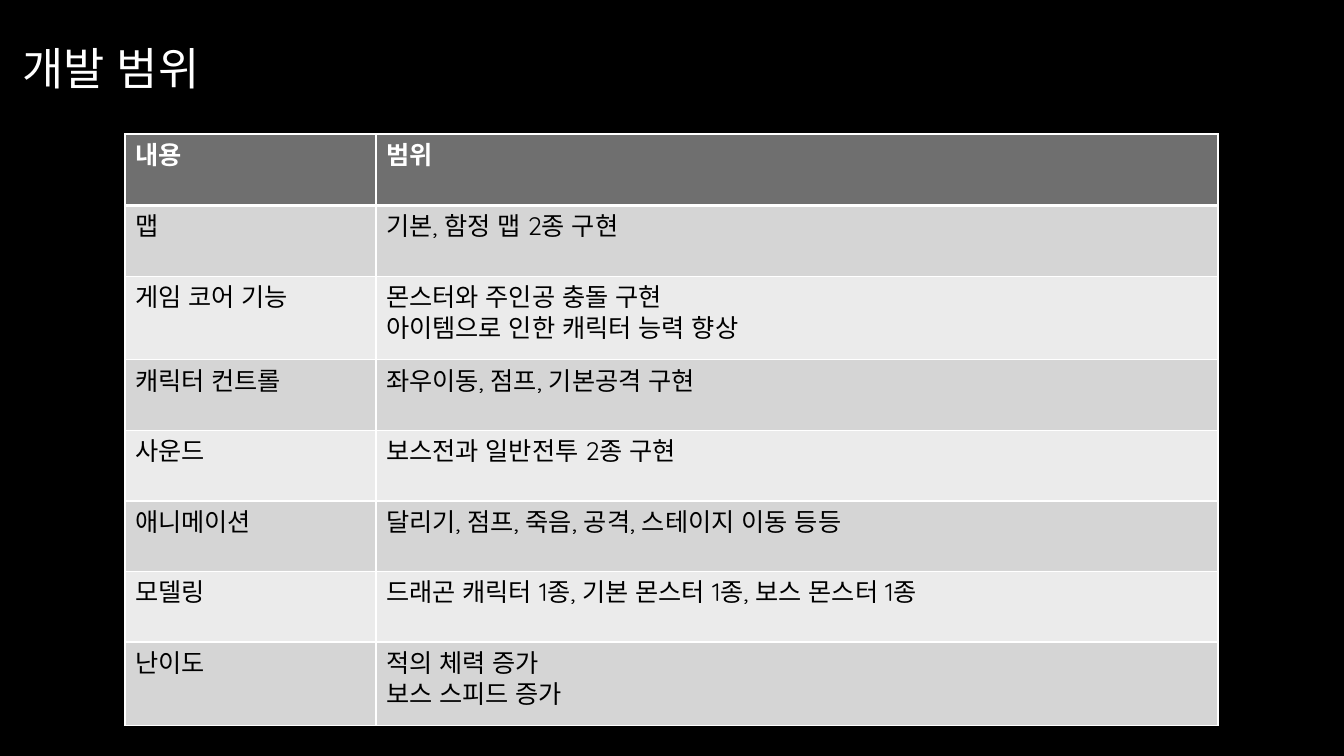
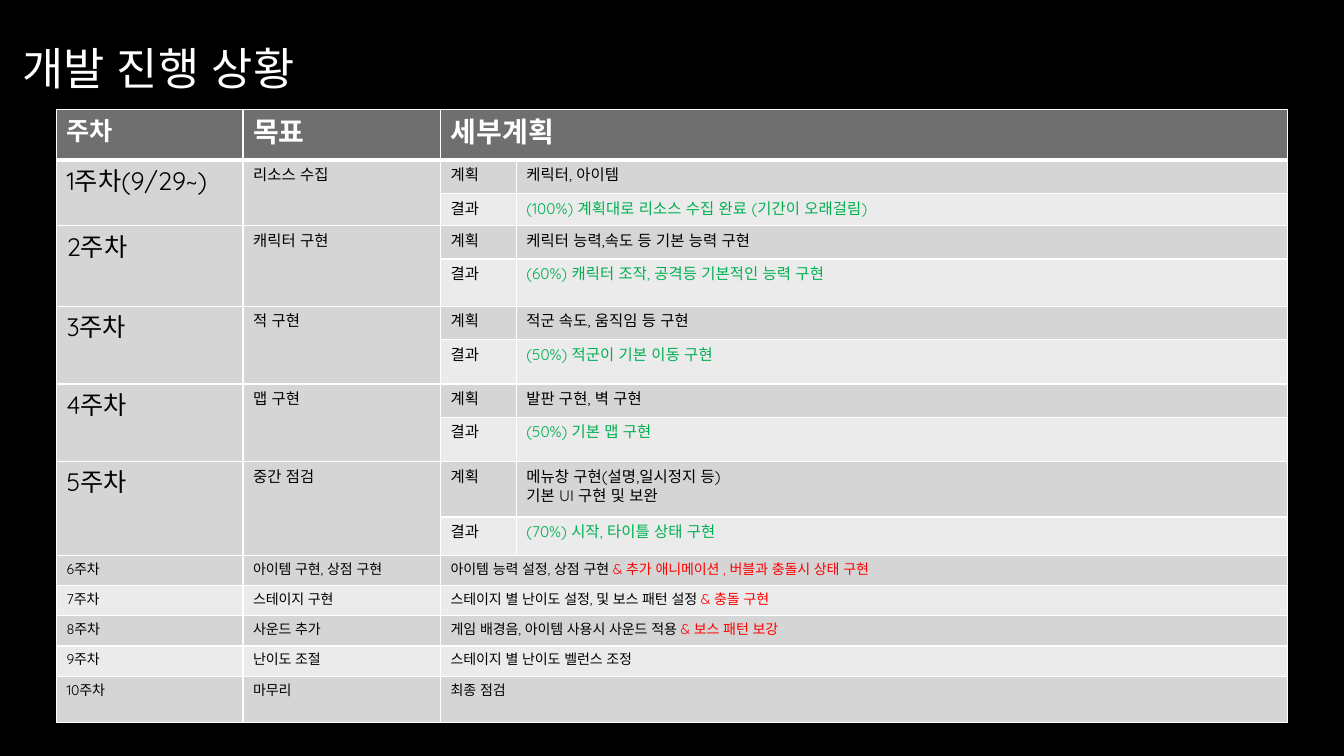
from dataclasses import dataclass
from itertools import chain

from lxml.etree import SubElement
from pptx import Presentation
from pptx.dml.color import RGBColor as RGB
from pptx.enum.text import MSO_ANCHOR as Anchor
from pptx.oxml.ns import qn
from pptx.slide import Slide
from pptx.table import Table, _Cell as Cell
from pptx.text.text import TextFrame as Frame
from pptx.util import Inches, Pt


@dataclass(frozen=True)
class Theme:
    font: str = "Quicksand"
    back: RGB = RGB(0, 0, 0)
    ink: RGB = RGB(0, 0, 0)
    white: RGB = RGB(255, 255, 255)
    fade: RGB = RGB(0xA6, 0xA6, 0xA6)
    head: RGB = RGB(0x6F, 0x6F, 0x6F)
    bands: tuple[RGB, RGB] = (RGB(0xEB, 0xEB, 0xEB), RGB(0xD5, 0xD5, 0xD5))
    done: RGB = RGB(0, 0xB0, 0x50)
    added: RGB = RGB(255, 0, 0)
    title: int = 32
    large: int = 20
    body: int = 18
    small: int = 11
    tiny: int = 10
    line: int = 1
    rule: int = 3


THEME = Theme()


@dataclass(frozen=True)
class Scope:
    name: str
    text: str
    row: float = 0.7


@dataclass(frozen=True)
class Week:
    """A past week: one row for the plan and one for the result."""
    name: str
    goal: str
    plan: str
    result: str
    rows: tuple[float, float]


@dataclass(frozen=True)
class Task:
    """A coming week, with work that was added later."""
    name: str
    goal: str
    plan: str
    extra: str = ""
    row: float = 0.3


SCOPES = [
    Scope("맵", "기본, 함정 맵 2종 구현"),
    Scope("게임 코어 기능", "몬스터와 주인공 충돌 구현\n아이템으로 인한 캐릭터 능력 향상", 0.83),
    Scope("캐릭터 컨트롤", "좌우이동, 점프, 기본공격 구현"),
    Scope("사운드", "보스전과 일반전투 2종 구현"),
    Scope("애니메이션", "달리기, 점프, 죽음, 공격, 스테이지 이동 등등"),
    Scope("모델링", "드래곤 캐릭터 1종, 기본 몬스터 1종, 보스 몬스터 1종"),
    Scope("난이도", "적의 체력 증가\n보스 스피드 증가", 0.83),
]

WEEKS = [
    Week("1주차(9/29~)", "리소스 수집", "케릭터, 아이템",
         "(100%) 계획대로 리소스 수집 완료 (기간이 오래걸림)", (0.33, 0.32)),
    Week("2주차", "캐릭터 구현", "케릭터 능력,속도 등 기본 능력 구현",
         "(60%) 캐릭터 조작, 공격등 기본적인 능력 구현", (0.33, 0.47)),
    Week("3주차", "적 구현", "적군 속도, 움직임 등 구현",
         "(50%) 적군이 기본 이동 구현", (0.33, 0.44)),
    Week("4주차", "맵 구현", "발판 구현, 벽 구현",
         "(50%) 기본 맵 구현", (0.33, 0.44)),
    Week("5주차", "중간 점검", "메뉴창 구현(설명,일시정지 등)\n기본 UI 구현 및 보완",
         "(70%) 시작, 타이틀 상태 구현", (0.55, 0.38)),
]

TASKS = [
    Task("6주차", "아이템 구현, 상점 구현", "아이템 능력 설정, 상점 구현 ",
         "& 추가 애니메이션 , 버블과 충돌시 상태 구현"),
    Task("7주차", "스테이지 구현", "스테이지 별 난이도 설정, 및 보스 패턴 설정 ",
         "& 충돌 구현"),
    Task("8주차", "사운드 추가", "게임 배경음, 아이템 사용시 사운드 적용 ",
         "& 보스 패턴 보강"),
    Task("9주차", "난이도 조절", "스테이지 별 난이도 벨런스 조정"),
    Task("10주차", "마무리", "최종 점검", row=0.46),
]


def write(frame: Frame, text: str, *, size: int = THEME.body,
          color: RGB = THEME.ink, bold: bool = False,
          fade: RGB | None = None) -> None:
    """Append text to the last paragraph; each further line starts a new one."""
    for i, line in enumerate(text.split("\n")):
        para = frame.add_paragraph() if i else frame.paragraphs[-1]
        run = para.add_run()
        run.text = line
        font = run.font
        font.name, font.size, font.bold = THEME.font, Pt(size), bold
        SubElement(run._r.get_or_add_rPr(), qn("a:ea"), typeface=THEME.font)
        if fade is None:
            font.fill.solid()
            font.fill.fore_color.rgb = color
        else:
            font.fill.gradient()
            font.fill.gradient_angle = 267
            for stop, tone in zip(font.fill.gradient_stops, (color, fade)):
                stop.color.rgb = tone


def edge(cell: Cell, top: int, bottom: int) -> None:
    """Draw white borders, with the top and bottom widths in points."""
    props = cell._tc.get_or_add_tcPr()
    sides = {"L": THEME.line, "R": THEME.line, "T": top, "B": bottom}
    for side, width in sides.items():
        line = SubElement(props, qn(f"a:ln{side}"), w=str(Pt(width)))
        fill = SubElement(line, qn("a:solidFill"))
        SubElement(fill, qn("a:srgbClr"), val=str(THEME.white))


def add_grid(slide: Slide, left: float, top: float, cols: list[float],
             rows: list[float]) -> Table:
    """Add a table with a dark head row and two alternating bands."""
    grid = slide.shapes.add_table(
        len(rows), len(cols), Inches(left), Inches(top),
        Inches(sum(cols)), Inches(sum(rows))).table
    for col, width in zip(grid.columns, cols):
        col.width = Inches(width)
    for i, (row, height) in enumerate(zip(grid.rows, rows)):
        row.height = Inches(height)
        for cell in row.cells:
            edge(cell, THEME.rule if i == 1 else THEME.line,
                 THEME.rule if i == 0 else THEME.line)
            cell.fill.solid()
            cell.fill.fore_color.rgb = THEME.bands[i % 2] if i else THEME.head
    return grid


def add_head(grid: Table, names: list[str], sizes: list[int]) -> None:
    for i, (name, size) in enumerate(zip(names, sizes)):
        write(grid.cell(0, i).text_frame, name, size=size,
              color=THEME.white, bold=True)


def add_page(deck: Presentation, title: str) -> Slide:
    slide = deck.slides.add_slide(deck.slide_layouts[6])
    slide.background.fill.solid()
    slide.background.fill.fore_color.rgb = THEME.back
    box = slide.shapes.add_textbox(
        Inches(0), Inches(-0.37), Inches(10.83), Inches(2.08))
    frame = box.text_frame
    frame.word_wrap = True
    frame.vertical_anchor = Anchor.MIDDLE
    frame.margin_left = Inches(0.22)
    write(frame, title, size=THEME.title, color=THEME.white, fade=THEME.fade)
    return slide


def add_scope(deck: Presentation) -> None:
    slide = add_page(deck, "개발 범위")
    rows = [0.71, *(scope.row for scope in SCOPES)]
    grid = add_grid(slide, 1.24, 1.33, [2.49, 8.35], rows)
    add_head(grid, ["내용", "범위"], [THEME.body] * 2)
    for i, scope in enumerate(SCOPES, 1):
        write(grid.cell(i, 0).text_frame, scope.name)
        write(grid.cell(i, 1).text_frame, scope.text)


def add_week(grid: Table, top: int, week: Week) -> None:
    for col in range(2):
        grid.cell(top, col).merge(grid.cell(top + 1, col))
    write(grid.cell(top, 0).text_frame, week.name)
    write(grid.cell(top, 1).text_frame, week.goal, size=THEME.small)
    lines = [("계획", week.plan, THEME.ink), ("결과", week.result, THEME.done)]
    for row, (label, text, color) in enumerate(lines, top):
        write(grid.cell(row, 2).text_frame, label, size=THEME.small)
        write(grid.cell(row, 3).text_frame, text, size=THEME.small, color=color)


def add_task(grid: Table, row: int, task: Task) -> None:
    grid.cell(row, 2).merge(grid.cell(row, 3))
    for col, text in enumerate((task.name, task.goal, task.plan)):
        write(grid.cell(row, col).text_frame, text, size=THEME.tiny)
    if task.extra:
        write(grid.cell(row, 2).text_frame, task.extra, size=THEME.tiny,
              color=THEME.added)


def add_status(deck: Presentation) -> None:
    slide = add_page(deck, "개발 진행 상황")
    rows = [0.5, *chain.from_iterable(week.rows for week in WEEKS),
            *(task.row for task in TASKS)]
    grid = add_grid(slide, 0.56, 1.09, [1.85, 1.96, 0.75, 7.65], rows)
    grid.cell(0, 2).merge(grid.cell(0, 3))
    add_head(grid, ["주차", "목표", "세부계획"],
             [THEME.body, THEME.large, THEME.large])
    for i, week in enumerate(WEEKS):
        add_week(grid, 1 + 2 * i, week)
    for row, task in enumerate(TASKS, 1 + 2 * len(WEEKS)):
        add_task(grid, row, task)


def main() -> None:
    deck = Presentation()
    deck.slide_width, deck.slide_height = Inches(13.33), Inches(7.5)
    add_scope(deck)
    add_status(deck)
    deck.save("out.pptx")


if __name__ == "__main__":
    main()
